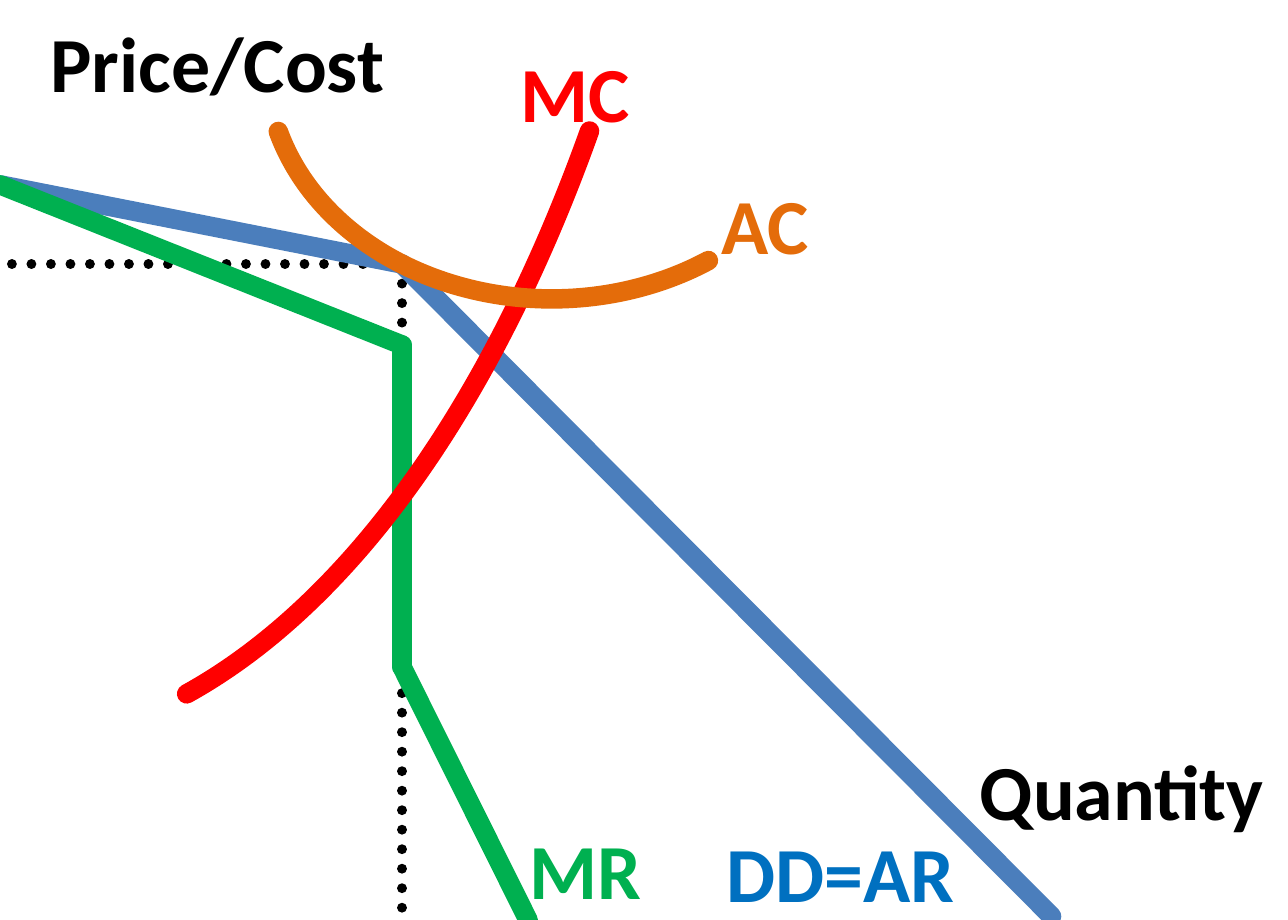
"""Draw the kinked demand curve of an oligopoly with its cost curves."""
from lxml import etree
from pptx import Presentation
from pptx.dml.color import RGBColor
from pptx.enum import dml, shapes, text
from pptx.oxml import ns
from pptx.util import Cm, Pt

BLACK = RGBColor(0x00, 0x00, 0x00)
STEEL = RGBColor(0x4B, 0x7E, 0xBC)
BLUE = RGBColor(0x00, 0x70, 0xC0)
GREEN = RGBColor(0x00, 0xB0, 0x50)
RED = RGBColor(0xFF, 0x00, 0x00)
ORANGE = RGBColor(0xE4, 0x6C, 0x0A)


def stroke(item, color, width):
    """Give a line or arc a round-ended stroke."""
    item.line.color.rgb = color
    item.line.width = Pt(width)
    item.line._get_or_add_ln().set("cap", "rnd")


def line(slide, start, end, color, width=6):
    """Draw a straight line without shadow and return it."""
    ends = [Cm(n) for n in (*start, *end)]
    item = slide.shapes.add_connector(shapes.MSO_CONNECTOR.STRAIGHT, *ends)
    stroke(item, color, width)
    etree.SubElement(item._element.spPr, ns.qn("a:effectLst"))
    return item


def dots(slide, start, end):
    """Draw a dotted guide line."""
    item = line(slide, start, end, BLACK, 3)
    item.line.dash_style = dml.MSO_LINE.ROUND_DOT


def arc(slide, box, angles, color):
    """Draw an open arc between two angles in degrees."""
    item = slide.shapes.add_shape(shapes.MSO_SHAPE.ARC, *map(Cm, box))
    for i, angle in enumerate(angles):
        item.adjustments[i] = angle * 0.6
    item.fill.background()
    item.shadow.inherit = False
    stroke(item, color, 6)


def label(slide, words, left, top, width, color, align=text.PP_ALIGN.LEFT):
    """Add a bold curve or axis label."""
    box = slide.shapes.add_textbox(Cm(left), Cm(top), Cm(width), Cm(1.27))
    frame = box.text_frame
    frame.word_wrap = False
    frame.auto_size = text.MSO_AUTO_SIZE.SHAPE_TO_FIT_TEXT
    para = frame.paragraphs[0]
    para.alignment = align
    run = para.add_run()
    run.text = words
    run.font.name = "Calibri"
    run.font.size = Pt(24)
    run.font.bold = True
    run.font.color.rgb = color


def main():
    """Build and save the slide."""
    deck = Presentation()
    deck.slide_width, deck.slide_height = Cm(14), Cm(10)
    slide = deck.slides.add_slide(deck.slide_layouts[6])

    start, kink = (0, 2.01), (4.37, 2.87)
    upper, lower = (4.37, 3.75), (4.37, 7.25)
    dots(slide, kink, (0, 2.87))
    line(slide, start, kink, STEEL)
    dots(slide, kink, (4.37, 10))
    line(slide, kink, (11.43, 9.96), STEEL)
    line(slide, lower, (5.74, 10), GREEN)
    line(slide, start, upper, GREEN)
    line(slide, upper, lower, GREEN)
    arc(slide, (-8.1, -23.88, 16, 32), (55.03, 82.14), RED)
    arc(slide, (2.9, -1.83, 6.2, 5.08), (51.29, 166.39), ORANGE)

    label(slide, "MC", 5.41, 0.36, 1.73, RED)
    label(slide, "AC", 7.59, 1.8, 1.47, ORANGE)
    label(slide, "MR", 5.51, 8.81, 1.75, GREEN)
    label(slide, "DD=AR", 7.65, 8.84, 3.02, BLUE)
    label(slide, "Price/Cost", 0.3, 0.03, 4.19, BLACK)
    label(slide, "Quantity", 10.36, 7.95, 3.63, BLACK, text.PP_ALIGN.RIGHT)
    deck.save("out.pptx")


if __name__ == "__main__":
    main()
